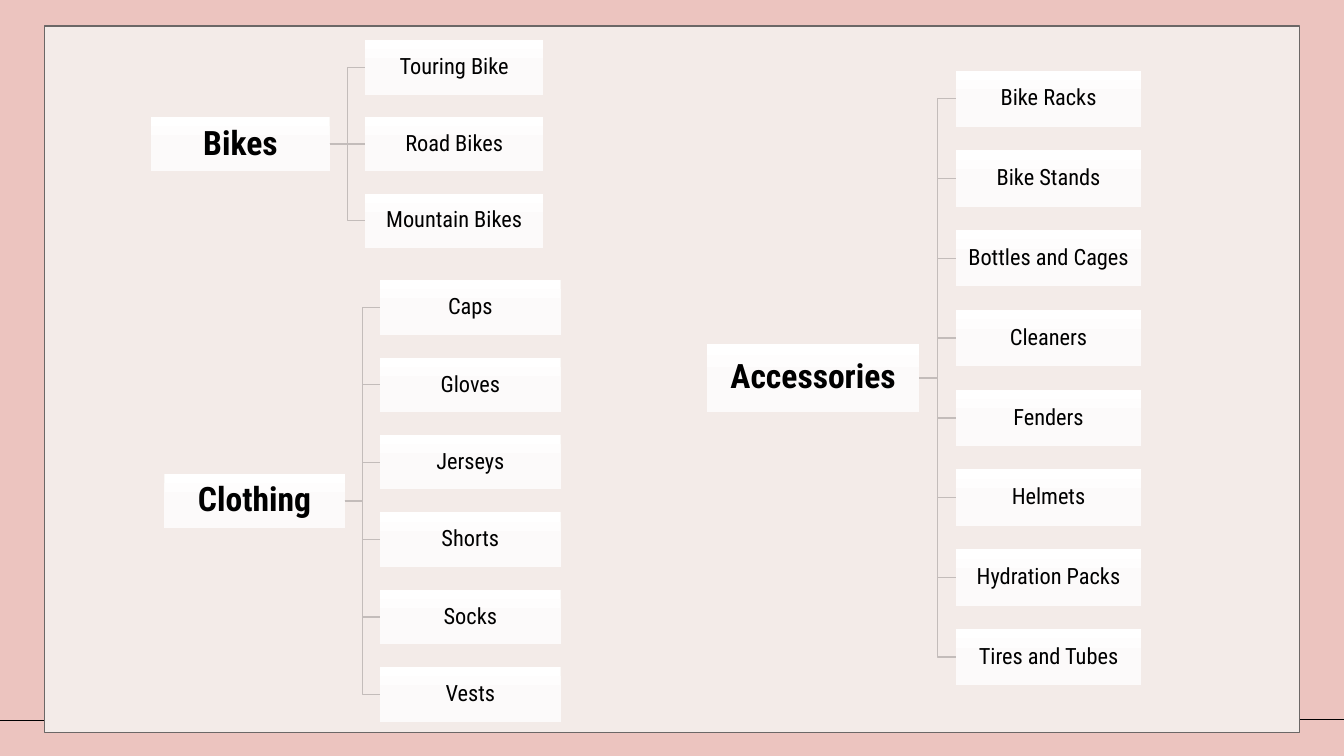
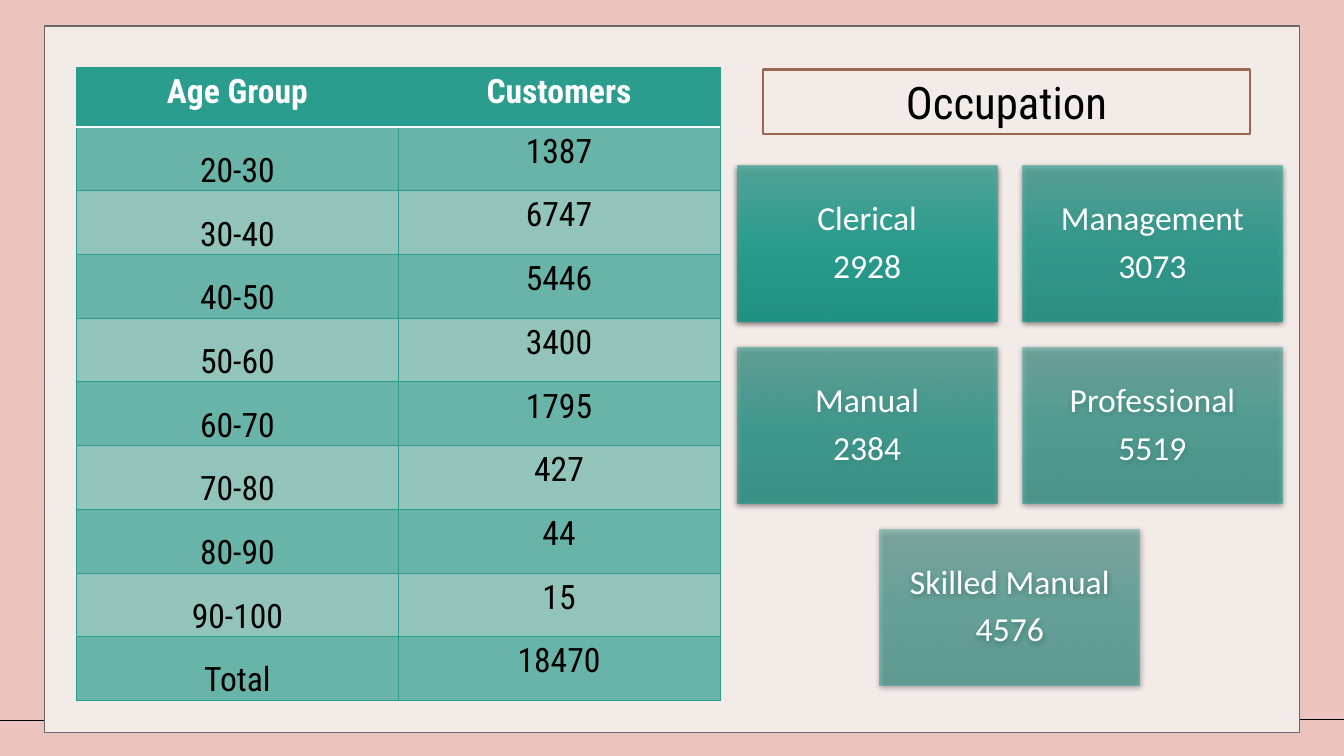
from pptx import Presentation
from pptx import util as u
from pptx.dml.color import RGBColor
from pptx.enum import shapes, text
from pptx.oxml import parse_xml
from pptx.oxml.ns import nsdecls, qn

PX = 9144  # EMU in one px, 100 px to the inch
PAGE_WIDTH, PAGE_HEIGHT = 1333, 750

ROSE = RGBColor(0xEC, 0xC4, 0xBF)
CREAM = RGBColor(0xF3, 0xEB, 0xE8)
GREY = RGBColor(0x6B, 0x67, 0x66)
BRANCH = RGBColor(0xC3, 0xBC, 0xBA)
BROWN = RGBColor(0x9C, 0x66, 0x51)
BLACK = RGBColor(0x00, 0x00, 0x00)
WHITE = RGBColor(0xFF, 0xFF, 0xFF)
TEAL = RGBColor(0x2A, 0x9D, 0x8F)
TEAL_MID = RGBColor(0x68, 0xB4, 0xA9)
TEAL_LIGHT = RGBColor(0x92, 0xC4, 0xBB)
CARD_STOPS = (WHITE, RGBColor(0xFC, 0xFA, 0xFA), RGBColor(0xFC, 0xFA, 0xF9))
TILE_STOPS = (RGBColor(0x52, 0xA9, 0x9D), RGBColor(0x24, 0xA3, 0x93),
              RGBColor(0x1B, 0x96, 0x87))

CONDENSED = "Roboto Condensed"
ROOT_FONT = {"name": CONDENSED, "size": u.Pt(24), "bold": True, "color": BLACK}
LEAF_FONT = {"name": CONDENSED, "size": u.Pt(16), "color": BLACK}
HEADER_FONT = {"name": CONDENSED, "size": u.Pt(24), "bold": True, "color": WHITE}
CELL_FONT = {"name": CONDENSED, "size": u.Pt(24), "bold": False, "color": BLACK}
TILE_FONT = {"name": "Calibri", "size": u.Pt(24), "color": WHITE}
TITLE_FONT = {"name": CONDENSED, "size": u.Pt(32), "color": BLACK}

TREES = [
    # box, root size, leaf size, root label, leaf labels
    ((150, 40, 389, 206), (177, 54), (177, 54), "Bikes",
     ["Touring Bike", "Road Bikes", "Mountain Bikes"]),
    ((163, 278, 393, 438), (179, 54), (179, 54), "Clothing",
     ["Caps", "Gloves", "Jerseys", "Shorts", "Socks", "Vests"]),
    ((701, 70, 431, 610), (211, 68), (184, 56), "Accessories",
     ["Bike Racks", "Bike Stands", "Bottles and Cages", "Cleaners",
      "Fenders", "Helmets", "Hydration Packs", "Tires and Tubes"]),
]
AGE_ROWS = [
    ("Age Group", "Customers"), ("20-30", "1387"), ("30-40", "6747"),
    ("40-50", "5446"), ("50-60", "3400"), ("60-70", "1795"), ("70-80", "427"),
    ("80-90", "44"), ("90-100", "15"), ("Total", "18470"),
]
OCCUPATIONS = [("Clerical", "2928"), ("Management", "3073"), ("Manual", "2384"),
               ("Professional", "5519"), ("Skilled Manual", "4576")]


def px(*lengths):
    return [u.Emu(round(length * PX)) for length in lengths]


def write(frame, lines, font, spacing=None, gap=0):
    """Fill a text frame with centred paragraphs, gap points apart."""
    for index, line in enumerate(lines):
        para = frame.add_paragraph() if index else frame.paragraphs[0]
        para.alignment = text.PP_ALIGN.CENTER
        para.line_spacing = spacing
        if index:
            para.space_before = u.Pt(gap)
        span = para.add_run()
        span.text = line
        for key, value in font.items():
            if key == "color":
                span.font.color.rgb = value
            else:
                setattr(span.font, key, value)


def add_box(page, box, fill=None, line=None, weight=1):
    shape = page.shapes.add_shape(shapes.MSO_SHAPE.RECTANGLE, *px(*box))
    shape.shadow.inherit = False
    if fill is None:
        shape.fill.background()
    else:
        shape.fill.solid()
        shape.fill.fore_color.rgb = fill
    if line is None:
        shape.line.fill.background()
    else:
        shape.line.color.rgb = line
        shape.line.width = u.Pt(weight)
    frame = shape.text_frame
    frame.word_wrap = True
    frame.vertical_anchor = text.MSO_ANCHOR.MIDDLE
    return shape


def set_margins(target, margin):
    for side in ("left", "right", "top", "bottom"):
        setattr(target, f"margin_{side}", px(margin)[0])


def shade(shape, colors, opacity=100):
    """Give an unfilled shape a top-to-bottom gradient."""
    stops = "".join(
        f'<a:gs pos="{index * 50000}"><a:srgbClr val="{color}">'
        f'<a:alpha val="{opacity * 1000}"/></a:srgbClr></a:gs>'
        for index, color in enumerate(colors))
    gradient = parse_xml(
        f'<a:gradFill {nsdecls("a")} rotWithShape="1"><a:gsLst>{stops}</a:gsLst>'
        '<a:lin ang="5400000" scaled="0"/></a:gradFill>')
    properties = shape._element.spPr
    properties.replace(properties.find(qn("a:noFill")), gradient)


def drop_shadow(shape):
    shape._element.spPr.find(qn("a:effectLst")).append(parse_xml(
        f'<a:outerShdw {nsdecls("a")} blurRad="57150" dist="19050" dir="5400000" '
        'algn="ctr" rotWithShape="0"><a:srgbClr val="000000">'
        '<a:alpha val="63000"/></a:srgbClr></a:outerShdw>'))


def add_line(page, kind, color, ends=(0, 0, 0, 0)):
    line = page.shapes.add_connector(kind, *px(*ends))
    line.line.color.rgb = color
    line.line.width = u.Pt(1)
    line._element.spPr.append(parse_xml(f'<a:effectLst {nsdecls("a")}/>'))
    return line


def add_page(deck):
    """Add a blank slide with the rose ground, side rules and cream panel."""
    page = deck.slides.add_slide(deck.slide_layouts[6])
    page.background.fill.solid()
    page.background.fill.fore_color.rgb = ROSE
    for ends in ((0, 715, 92, 715), (1233, 714, PAGE_WIDTH, 714)):
        add_line(page, shapes.MSO_CONNECTOR.STRAIGHT, BLACK, ends)
    add_box(page, (44, 26, 1245, 701), CREAM, GREY)
    return page


def add_card(page, box, label, font, margin):
    card = add_box(page, box)
    shade(card, CARD_STOPS)
    set_margins(card.text_frame, margin)
    write(card.text_frame, [label], font, 0.9)
    return card


def add_tree(page, box, root_size, leaf_size, label, leaves):
    """Place a root at the left and its leaves evenly down the right of the box."""
    left, top, width, height = box
    middle = top + height / 2
    root = add_card(page, (left, middle - root_size[1] / 2, *root_size),
                    label, ROOT_FONT, 2)
    leaf_left = left + width - leaf_size[0]
    pitch = (height - leaf_size[1]) / (len(leaves) - 1)
    for index, leaf_label in enumerate(leaves):
        leaf_top = top + index * pitch
        leaf = add_card(page, (leaf_left, leaf_top, *leaf_size),
                        leaf_label, LEAF_FONT, 1)
        level = abs(leaf_top + leaf_size[1] / 2 - middle) < 1
        kind = shapes.MSO_CONNECTOR.STRAIGHT if level else shapes.MSO_CONNECTOR.ELBOW
        branch = add_line(page, kind, BRANCH)
        branch.begin_connect(root, 3)
        branch.end_connect(leaf, 1)


def border_cell(cell, header):
    properties = cell._tc.get_or_add_tcPr()
    for side in "LRTB":
        color, weight = (WHITE, 1) if header and side == "B" else (TEAL, 0.5)
        properties.append(parse_xml(
            f'<a:ln{side} {nsdecls("a")} w="{u.Pt(weight)}"><a:solidFill>'
            f'<a:srgbClr val="{color}"/></a:solidFill></a:ln{side}>'))


def add_age_table(page, box, header_height):
    height = box[3]
    table = page.shapes.add_table(len(AGE_ROWS), 2, *px(*box)).table
    row_height = (height - header_height) / (len(AGE_ROWS) - 1)
    for row, values in enumerate(AGE_ROWS):
        header = row == 0
        table.rows[row].height = px(header_height if header else row_height)[0]
        for column, value in enumerate(values):
            cell = table.cell(row, column)
            border_cell(cell, header)
            cell.fill.solid()
            cell.fill.fore_color.rgb = (
                TEAL if header else TEAL_MID if row % 2 else TEAL_LIGHT)
            if column == 0 and not header:
                set_margins(cell, 0)
                cell.vertical_anchor = text.MSO_ANCHOR.BOTTOM
            write(cell.text_frame, [value], HEADER_FONT if header else CELL_FONT)


def add_occupations(page, box, tile_size):
    """Place tiles two to a row, the last one centred, each paler than the one before."""
    left, top, width, height = box
    tile_width, tile_height = tile_size
    for index, lines in enumerate(OCCUPATIONS):
        row, column = divmod(index, 2)
        if index == len(OCCUPATIONS) - 1:
            column = 0.5
        tile = add_box(page, (left + column * (width - tile_width),
                              top + row * (height - tile_height) / 2, *tile_size))
        shade(tile, TILE_STOPS, 90 - 10 * index)
        drop_shadow(tile)
        write(tile.text_frame, lines, TILE_FONT, 0.9, 8)


def add_products_page(deck):
    page = add_page(deck)
    for tree in TREES:
        add_tree(page, *tree)


def add_customers_page(deck):
    page = add_page(deck)
    add_age_table(page, (76, 67, 638, 628), 59)
    add_occupations(page, (731, 164, 541, 516), (258, 155))
    title = add_box(page, (757, 69, 483, 64), line=BROWN, weight=1.5)
    write(title.text_frame, ["Occupation"], TITLE_FONT)


def main():
    deck = Presentation()
    deck.slide_width, deck.slide_height = px(PAGE_WIDTH, PAGE_HEIGHT)
    add_products_page(deck)
    add_customers_page(deck)
    deck.save("out.pptx")


if __name__ == "__main__":
    main()
